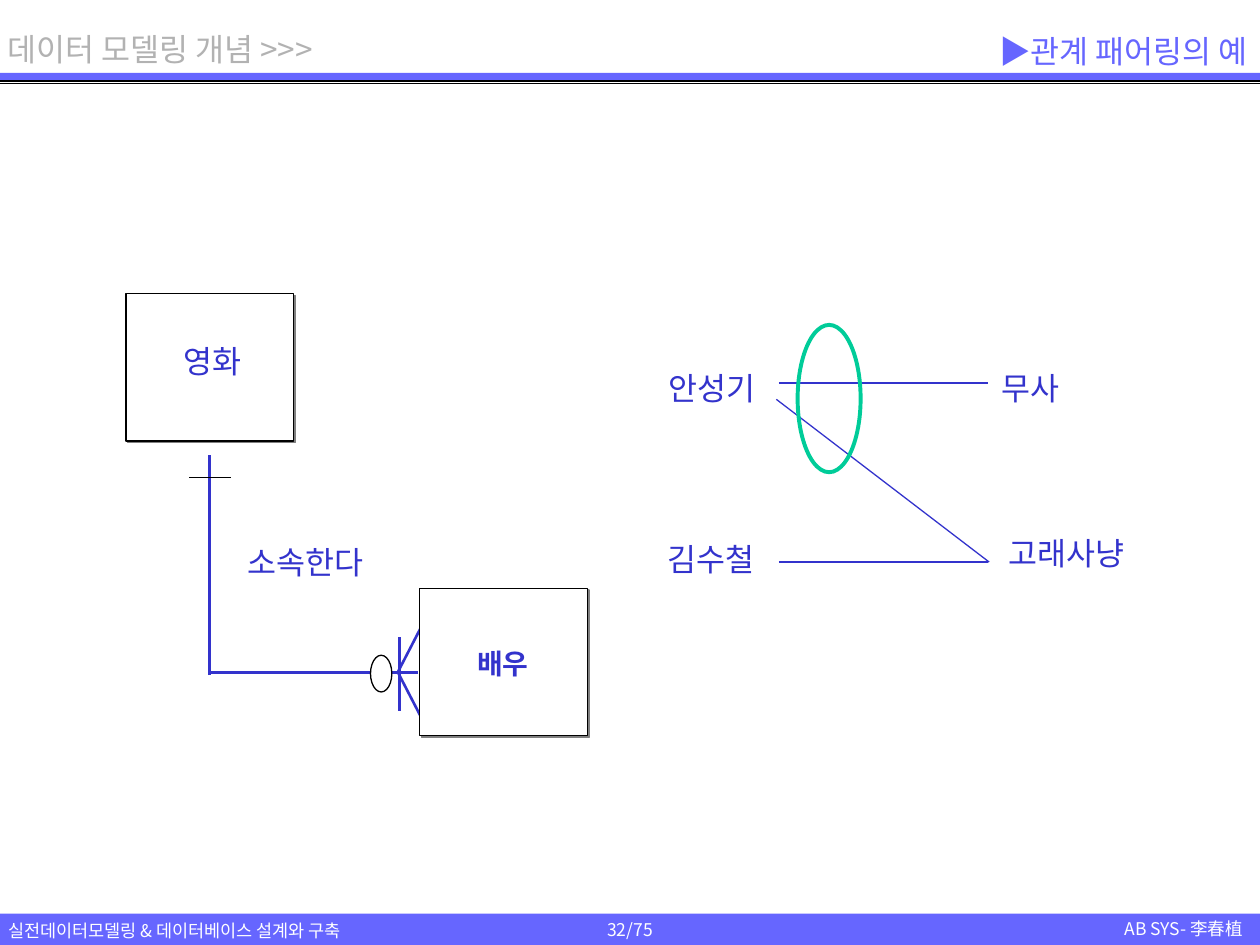
from lxml import etree
from pptx import Presentation
from pptx.dml.color import RGBColor
from pptx.enum.shapes import MSO_CONNECTOR, MSO_SHAPE
from pptx.enum.text import MSO_ANCHOR, PP_ALIGN
from pptx.oxml.ns import qn
from pptx.util import Cm, Pt

RECT, OVAL, WEDGE = MSO_SHAPE.RECTANGLE, MSO_SHAPE.OVAL, MSO_SHAPE.ISOSCELES_TRIANGLE
LINE = MSO_CONNECTOR.STRAIGHT
LEFT, MID, RIGHT = PP_ALIGN.LEFT, PP_ALIGN.CENTER, PP_ALIGN.RIGHT
TOP, CORE = MSO_ANCHOR.TOP, MSO_ANCHOR.MIDDLE
FONT = "Noto Sans CJK KR"
HUES = {"bar": "6666FF", "ink": "3333CC", "gray": "B2B2B2", "ring": "00CC99",
        "dark": "000000", "shade": "808080", "white": "FFFFFF"}
WIDE, HIGH = 25.4, 19.05


def hue(name):
    return RGBColor.from_string(HUES[name])


def write(frame, text, size=18, color="ink", bold=False, align=LEFT, anchor=TOP, wrap=False):
    frame.word_wrap = wrap
    frame.vertical_anchor = anchor
    para = frame.paragraphs[0]
    para.alignment = align
    run = para.add_run()
    run.text = text
    font = run.font
    font.size, font.bold, font.name = Pt(size), bold, FONT
    font.color.rgb = hue(color)
    etree.SubElement(run._r.get_or_add_rPr(), qn("a:ea"), typeface=FONT)


class Board:
    """Draws styled elements on the current slide, with lengths in centimetres."""

    def __init__(self, slide):
        self.shapes = slide.shapes

    def shape(self, kind, x, y, w, h, fill=None, line=None, width=0.75):
        item = self.shapes.add_shape(kind, Cm(x), Cm(y), Cm(w), Cm(h))
        item.shadow.inherit = False
        if fill:
            item.fill.solid()
            item.fill.fore_color.rgb = hue(fill)
        else:
            item.fill.background()
        if line:
            item.line.color.rgb = hue(line)
            item.line.width = Pt(width)
        else:
            item.line.fill.background()
        return item

    def line(self, x1, y1, x2, y2, color="ink", width=0.75):
        item = self.shapes.add_connector(LINE, Cm(x1), Cm(y1), Cm(x2), Cm(y2))
        item.line.color.rgb = hue(color)
        item.line.width = Pt(width)
        etree.SubElement(item._element.spPr, qn("a:effectLst"))

    def text(self, text, x, y, w, h=1.02, **style):
        box = self.shapes.add_textbox(Cm(x), Cm(y), Cm(w), Cm(h))
        write(box.text_frame, text, **style)

    def entity(self, x, y):
        item = self.shape(RECT, x, y, 3.38, 2.97, "white", "dark")
        effects = item._element.spPr.find(qn("a:effectLst"))
        shadow = etree.SubElement(effects, qn("a:outerShdw"), dist=str(Pt(1.4)),
                                  dir="2700000", algn="ctr", rotWithShape="0")
        etree.SubElement(shadow, qn("a:srgbClr"), val=HUES["shade"])


def frame(board):
    small = {"size": 10, "color": "white"}
    foot = board.shape(RECT, 0, 18.42, WIDE, 0.63, "bar")
    write(foot.text_frame, "32/75", align=MID, anchor=CORE, **small)
    board.shape(RECT, 0, 1.47, WIDE, 0.15, "bar")
    for y in (1.63, 1.65, 1.68):
        board.line(0, y, WIDE, y, "dark")
    board.text("실전데이터모델링 & 데이터베이스 설계와 구축", -0.08, 18.42, 7.95, 0.69,
               wrap=True, **small)
    board.text("AB SYS- 李春植", 21.92, 18.39, 3.38, 0.69, align=RIGHT, wrap=True, **small)
    board.text("데이터 모델링 개념 >>>", -0.1, 0.48, 7.11, color="gray", wrap=True)
    board.text("▶관계 패어링의 예", 12.7, 0.48, 12.7, 1.09, color="bar",
               align=RIGHT, anchor=CORE, wrap=True)


def model(board):
    board.shape(WEDGE, 7.19, 13.26, 2.24, 0.58, line="ink", width=1.5).rotation = 270
    for ends in ((4.22, 13.56, 8.43, 13.56), (8.05, 14.33, 8.05, 12.85),
                 (4.22, 13.61, 4.22, 9.17)):
        board.line(*ends, width=1.5)
    board.line(3.81, 9.63, 4.65, 9.63, "dark")
    board.entity(2.54, 5.92)
    board.entity(8.46, 11.86)
    board.shape(OVAL, 7.47, 13.21, 0.43, 0.74, "white", "dark")
    board.text("영화", 3.45, 6.78, 1.68)
    board.text("소속한다", 4.75, 10.82, 2.84)
    board.text("배우", 9.37, 12.9, 1.55, 0.94, size=16, bold=True)


def pairs(board):
    for name, x, y, w in (("안성기", 13.23, 7.32, 2.26), ("김수철", 13.21, 10.77, 2.26),
                          ("무사", 19.94, 7.32, 1.78), ("고래사냥", 20.09, 10.64, 2.84)):
        board.text(name, x, y, w)
    for ends in ((15.7, 7.72, 19.91, 7.72), (15.7, 11.33, 19.91, 11.33),
                 (15.65, 8.05, 19.94, 11.33)):
        board.line(*ends)
    board.shape(OVAL, 16.08, 6.55, 1.27, 2.97, line="ring", width=2.25)


def main():
    deck = Presentation()
    deck.slide_width, deck.slide_height = Cm(WIDE), Cm(HIGH)
    board = Board(deck.slides.add_slide(deck.slide_layouts[6]))
    frame(board)
    model(board)
    pairs(board)
    deck.save("out.pptx")


if __name__ == "__main__":
    main()
